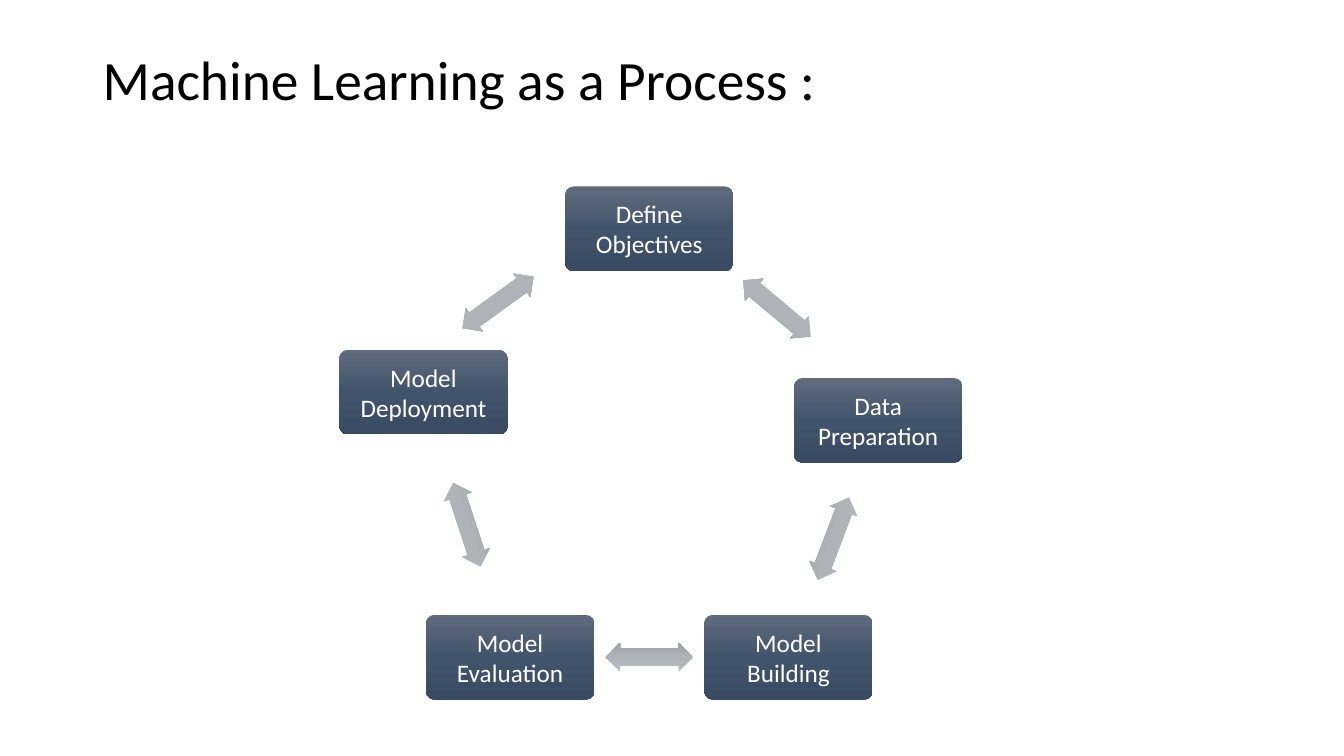
"""Build the slide that shows machine learning as a five-step cycle."""
import math

from lxml import etree
from pptx import Presentation
from pptx.dml.color import RGBColor
from pptx.enum import shapes, text
from pptx.oxml import ns
from pptx.util import Inches, Pt

TITLE = "Machine Learning as a Process :"
STEPS = [
    {"label": "Define Objectives", "center": (6.44, 2.27), "arrow_shift": (0.13, -0.16)},
    {"label": "Data Preparation", "center": (8.71, 4.17), "arrow_shift": (0, 0)},
    {"label": "Model Building", "center": (7.82, 6.52), "arrow_shift": (0, 0)},
    {"label": "Model Evaluation", "center": (5.06, 6.52), "arrow_shift": (0, 0)},
    {"label": "Model Deployment", "center": (4.2, 3.89), "arrow_shift": (-0.38, -0.08)},
]
COLORS = {
    "title": "000000", "label": "FFFFFF",
    "box_top": "606B7D", "box_middle": "42546C", "box_bottom": "394A62",
    "arrow_top": "B9BDC1", "arrow_middle": "B0B4B9", "arrow_bottom": "9BA0A5",
}
FONT = "Calibri"
BOX_SIZE = (1.67, 0.84)
ARROW_SIZE = (0.87, 0.29)


def add_run(paragraph, words, size, color):
    run = paragraph.add_run()
    run.text = words
    run.font.name = FONT
    run.font.size = Pt(size)
    run.font.color.rgb = RGBColor.from_string(COLORS[color])


def set_gradient(shape, family):
    shape.fill.gradient()
    shape.fill.gradient_angle = 270
    stops = shape._element.spPr.find(".//" + ns.qn("a:gsLst"))
    for stop in list(stops):
        stops.remove(stop)
    for position, part in ((0, "top"), (50000, "middle"), (100000, "bottom")):
        stop = etree.SubElement(stops, ns.qn("a:gs"), pos=str(position))
        etree.SubElement(stop, ns.qn("a:srgbClr"), val=COLORS[f"{family}_{part}"])


def add_centered(slide, kind, center, size, adjustments, family):
    left, top = (middle - length / 2 for middle, length in zip(center, size))
    shape = slide.shapes.add_shape(kind, Inches(left), Inches(top), *map(Inches, size))
    for index, value in enumerate(adjustments):
        shape.adjustments[index] = value
    shape.shadow.inherit = False
    shape.line.fill.background()
    set_gradient(shape, family)
    return shape


def add_title(slide):
    box = slide.shapes.add_textbox(Inches(0.92), Inches(0.4), Inches(11.5), Inches(1.45))
    frame = box.text_frame
    frame.word_wrap = True
    frame.vertical_anchor = text.MSO_ANCHOR.TOP
    frame.margin_top = Inches(0.12)
    paragraph = frame.paragraphs[0]
    paragraph.line_spacing = 0.9
    add_run(paragraph, TITLE, 39.6, "title")


def add_step(slide, step):
    box = add_centered(slide, shapes.MSO_SHAPE.ROUNDED_RECTANGLE,
                       step["center"], BOX_SIZE, [0.1], "box")
    frame = box.text_frame
    frame.word_wrap = True
    frame.vertical_anchor = text.MSO_ANCHOR.MIDDLE
    frame.margin_left = frame.margin_right = Inches(0.07)
    frame.margin_top = frame.margin_bottom = Inches(0.07)
    paragraph = frame.paragraphs[0]
    paragraph.alignment = text.PP_ALIGN.CENTER
    add_run(paragraph, step["label"], 18, "label")


def add_arrow(slide, step, following):
    (x1, y1), (x2, y2) = step["center"], following["center"]
    shift_x, shift_y = step["arrow_shift"]
    center = ((x1 + x2) / 2 + shift_x, (y1 + y2) / 2 + shift_y)
    arrow = add_centered(slide, shapes.MSO_SHAPE.LEFT_RIGHT_ARROW,
                         center, ARROW_SIZE, [0.6, 0.5], "arrow")
    arrow.rotation = math.degrees(math.atan2(y2 - y1, x2 - x1)) % 360


def main():
    presentation = Presentation()
    presentation.slide_width = Inches(13.33)
    presentation.slide_height = Inches(7.5)
    slide = presentation.slides.add_slide(presentation.slide_layouts[6])
    add_title(slide)
    for step, following in zip(STEPS, STEPS[1:] + STEPS[:1]):
        add_step(slide, step)
        add_arrow(slide, step, following)
    presentation.save("out.pptx")


if __name__ == "__main__":
    main()
